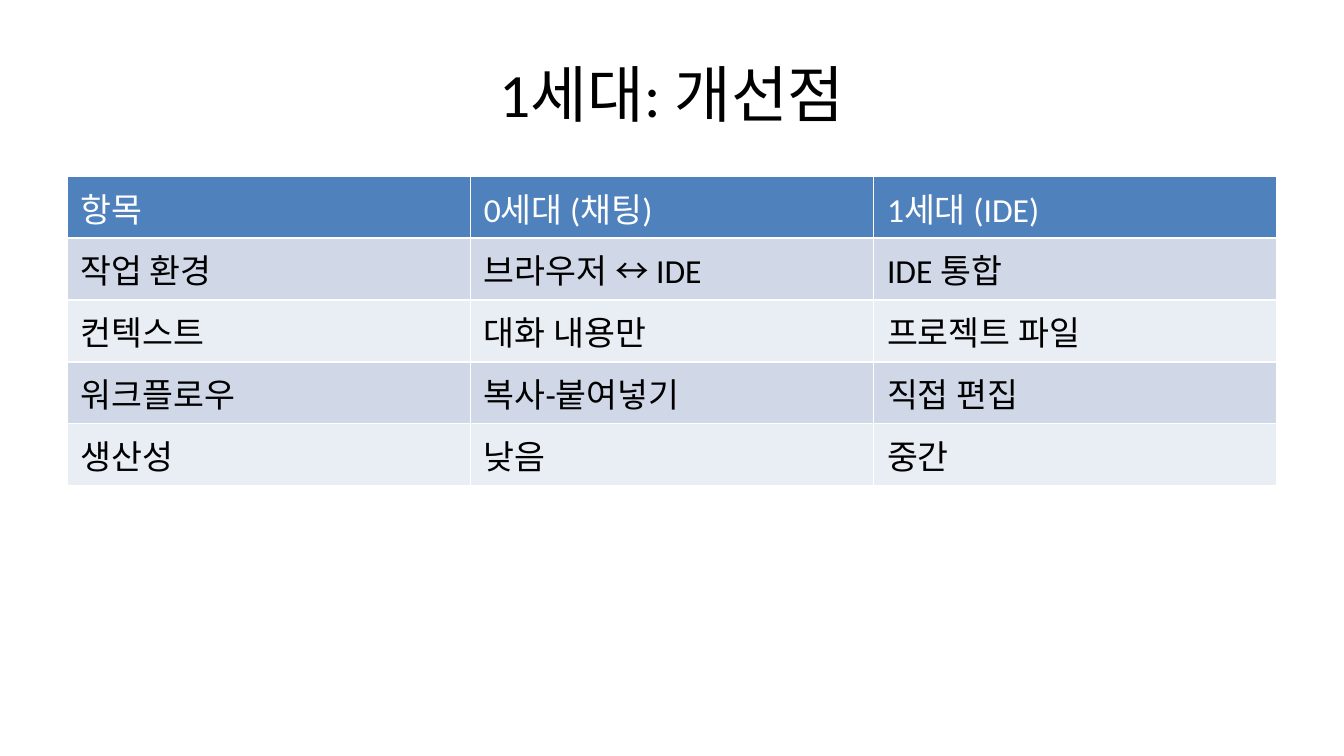
from dataclasses import dataclass

import pptx
import pptx.dml.color
import pptx.enum.text
import pptx.util

COLORS = {
    "ink": "000000",
    "header_ink": "FFFFFF",
    "header": "4F81BD",
    "odd_row": "D0D8E8",
    "even_row": "E9EDF4",
}
FONT = "Calibri"
SLIDE_WIDTH = pptx.util.Inches(10)
SLIDE_HEIGHT = SLIDE_WIDTH * 9 // 16
MARGIN = 0.05
ROW_HEIGHT = pptx.util.Inches(0.46)


@dataclass(frozen=True)
class TableRow:
    labels: tuple[str, str, str]
    fill: str
    ink: str = "ink"


COMPARISON = (
    TableRow(("항목", "0세대 (채팅)", "1세대 (IDE)"), "header", "header_ink"),
    TableRow(("작업 환경", "브라우저 ↔ IDE", "IDE 통합"), "odd_row"),
    TableRow(("컨텍스트", "대화 내용만", "프로젝트 파일"), "even_row"),
    TableRow(("워크플로우", "복사-붙여넣기", "직접 편집"), "odd_row"),
    TableRow(("생산성", "낮음", "중간"), "even_row"),
)


def color(name: str) -> pptx.dml.color.RGBColor:
    return pptx.dml.color.RGBColor.from_string(COLORS[name])


def write(frame: pptx.text.text.TextFrame, text: str, size: float, ink: str) -> None:
    frame.text = text
    font = frame.paragraphs[0].runs[0].font
    font.name = FONT
    font.size = pptx.util.Pt(size)
    font.bold = False
    font.color.rgb = color(ink)


def add_heading(slide: pptx.slide.Slide, text: str) -> None:
    heading = slide.shapes.add_textbox(
        int(SLIDE_WIDTH * MARGIN),
        int(SLIDE_HEIGHT * 0.04),
        int(SLIDE_WIDTH * (1 - 2 * MARGIN)),
        int(SLIDE_HEIGHT / 6),
    )
    frame = heading.text_frame
    frame.word_wrap = True
    frame.vertical_anchor = pptx.enum.text.MSO_ANCHOR.MIDDLE
    write(frame, text, 33, "ink")
    frame.paragraphs[0].alignment = pptx.enum.text.PP_ALIGN.CENTER


def add_comparison(slide: pptx.slide.Slide, rows: tuple[TableRow, ...]) -> None:
    comparison = slide.shapes.add_table(
        len(rows),
        len(rows[0].labels),
        int(SLIDE_WIDTH * MARGIN),
        int(SLIDE_HEIGHT * 7 / 30),
        int(SLIDE_WIDTH * (1 - 2 * MARGIN)),
        ROW_HEIGHT * len(rows),
    ).table
    for row_index, row in enumerate(rows):
        for column_index, label in enumerate(row.labels):
            cell = comparison.cell(row_index, column_index)
            cell.fill.solid()
            cell.fill.fore_color.rgb = color(row.fill)
            write(cell.text_frame, label, 18, row.ink)


def main() -> None:
    deck = pptx.Presentation()
    deck.slide_width = SLIDE_WIDTH
    deck.slide_height = SLIDE_HEIGHT
    slide = deck.slides.add_slide(deck.slide_layouts[6])
    add_heading(slide, "1세대: 개선점")
    add_comparison(slide, COMPARISON)
    deck.save("out.pptx")


if __name__ == "__main__":
    main()
